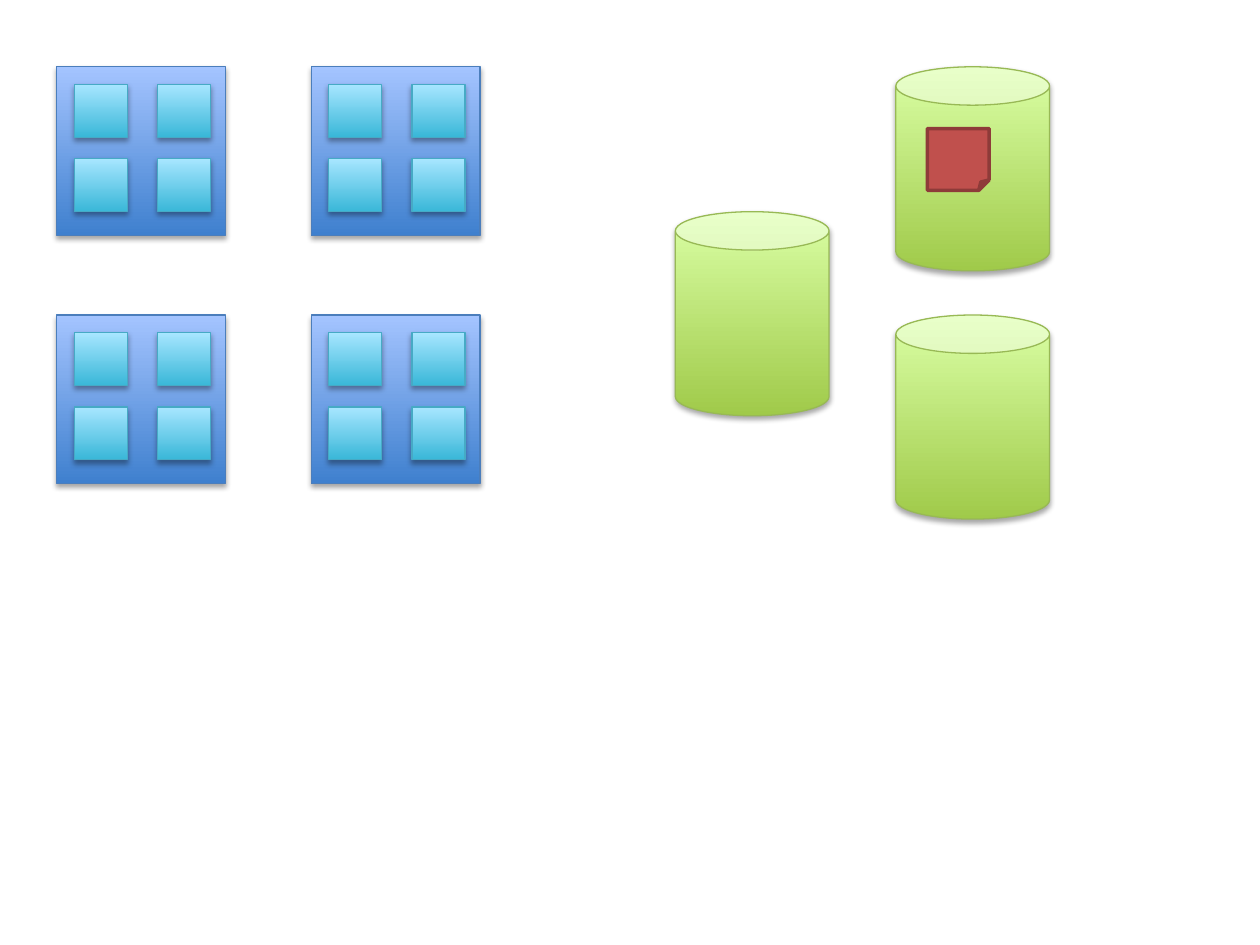
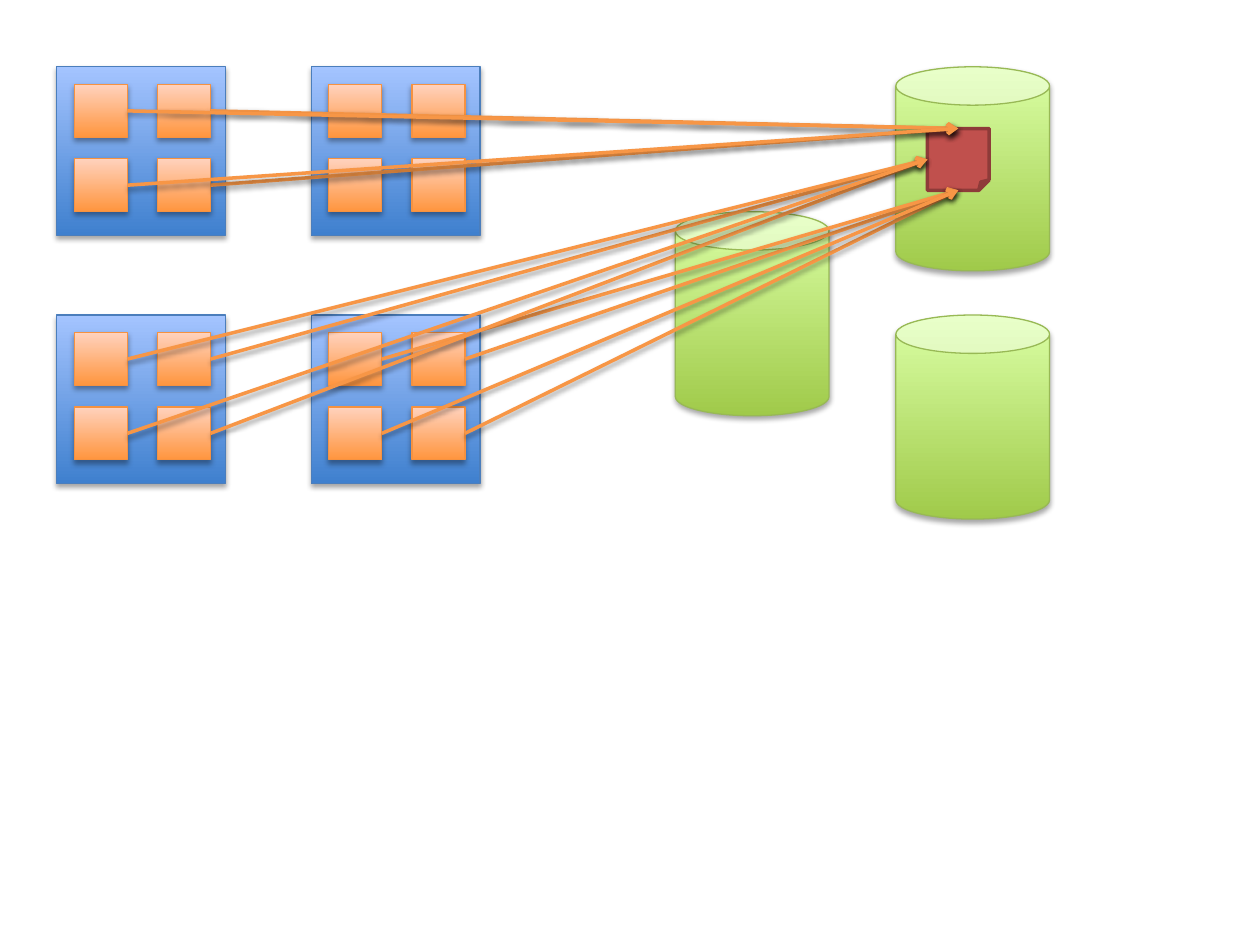
from dataclasses import dataclass
from itertools import product

from lxml import etree
from pptx import Presentation
from pptx.dml.color import RGBColor
from pptx.enum.shapes import MSO_CONNECTOR, MSO_SHAPE
from pptx.oxml.ns import qn
from pptx.util import Inches, Pt

TOP, LEFT, BOTTOM, RIGHT = range(4)


@dataclass(frozen=True)
class Theme:
    node = {"fill": ("3F80CE", "A4C4FF"), "line": "4B7EBC"}
    idle_core = {"fill": ("39B7D8", "A7E6FF"), "line": "46AAC5"}
    busy_core = {"fill": ("FF953E", "FFD2BD"), "line": "F69240"}
    disk = {"fill": ("A0CA4A", "DAFFA5"), "line": "98B955"}
    file = {"fill": ("C0504D",), "line": "8E3B39"}
    arrow = "F79646"
    thin = Pt(0.75)
    thick = Pt(2)
    shape_shadow = {"alpha": 35, "dist": 1.8}
    arrow_shadow = {"alpha": 38, "dist": 1.6}


THEME = Theme()
NODE_ORIGIN, NODE_PITCH, NODE_SIZE = (0.45, 0.53), (2.02, 1.97), 1.34
CORE_INSET, CORE_PITCH, CORE_SIZE = 0.14, (0.66, 0.59), 0.42
DISK_SIZE = (1.22, 1.62)
DISK_SPOTS = [(7.11, 0.53), (7.11, 2.5), (5.36, 1.68)]
FILE_BOX = (7.36, 1.02, 0.49, 0.49)
GRID = list(product(range(2), repeat=2))
READERS = {(1, 1): BOTTOM, (1, 0): LEFT, (0, 0): TOP}
CORE_ORDER = [(1, 1), (0, 1), (0, 0), (1, 0)]


def set_effects(s, shadow=None):
    effects = etree.SubElement(s._element.spPr, qn("a:effectLst"))
    if shadow is None:
        return
    outer = etree.SubElement(effects, qn("a:outerShdw"), {
        "blurRad": str(Pt(3.1)), "dist": str(Pt(shadow["dist"])),
        "dir": "5400000", "rotWithShape": "0"})
    color = etree.SubElement(outer, qn("a:srgbClr"), val="000000")
    etree.SubElement(color, qn("a:alpha"), val=str(shadow["alpha"] * 1000))


def set_line(s, color, width):
    s.line.color.rgb = RGBColor.from_string(color)
    s.line.width = width


def add_block(slide, kind, box, style, width=THEME.thin,
              shadow=THEME.shape_shadow):
    sp = slide.shapes.add_shape(kind, *map(Inches, box))
    colors = style["fill"]
    if len(colors) == 1:
        sp.fill.solid()
        sp.fill.fore_color.rgb = RGBColor.from_string(colors[0])
    else:
        sp.fill.gradient()
        sp.fill.gradient_angle = 90
        for stop, position, color in zip(sp.fill.gradient_stops, (0, 1), colors):
            values = {"position": position}
            for name, value in values.items():
                setattr(stop, name, value)
            stop.color.rgb = RGBColor.from_string(color)
    set_line(sp, style["line"], width)
    set_effects(sp, shadow)
    return sp


def grid_spot(origin, pitch, row, col):
    return origin[0] + col * pitch[0], origin[1] + row * pitch[1]


def add_node(slide, row, col, core_style):
    x, y = grid_spot(NODE_ORIGIN, NODE_PITCH, row, col)
    add_block(slide, MSO_SHAPE.RECTANGLE, (x, y, NODE_SIZE, NODE_SIZE), THEME.node)
    first_core = (x + CORE_INSET, y + CORE_INSET)
    return {cell: add_block(
        slide, MSO_SHAPE.RECTANGLE,
        (*grid_spot(first_core, CORE_PITCH, *cell), CORE_SIZE, CORE_SIZE),
        core_style) for cell in GRID}


def add_read_arrow(slide, core, file, side):
    c = slide.shapes.add_connector(MSO_CONNECTOR.STRAIGHT, 0, 0, 0, 0)
    c.begin_connect(core, RIGHT)
    c.end_connect(file, side)
    set_line(c, THEME.arrow, THEME.thick)
    etree.SubElement(c.line._get_or_add_ln(), qn("a:tailEnd"), type="arrow")
    set_effects(c, THEME.arrow_shadow)


def add_cluster(prs, core_style):
    slide = prs.slides.add_slide(prs.slide_layouts[6])
    nodes = {cell: add_node(slide, *cell, core_style) for cell in GRID}
    for spot in DISK_SPOTS:
        add_block(slide, MSO_SHAPE.CAN, (*spot, *DISK_SIZE), THEME.disk)
    file = add_block(slide, MSO_SHAPE.FOLDED_CORNER, FILE_BOX, THEME.file,
                     THEME.thick, None)
    return slide, nodes, file


def main():
    prs = Presentation()
    for name, value in {"slide_width": 10, "slide_height": 7.5}.items():
        setattr(prs, name, Inches(value))
    add_cluster(prs, THEME.idle_core)
    slide, nodes, file = add_cluster(prs, THEME.busy_core)
    for node, side in READERS.items():
        for core in CORE_ORDER:
            add_read_arrow(slide, nodes[node][core], file, side)
    prs.save("out.pptx")


if __name__ == "__main__":
    main()
